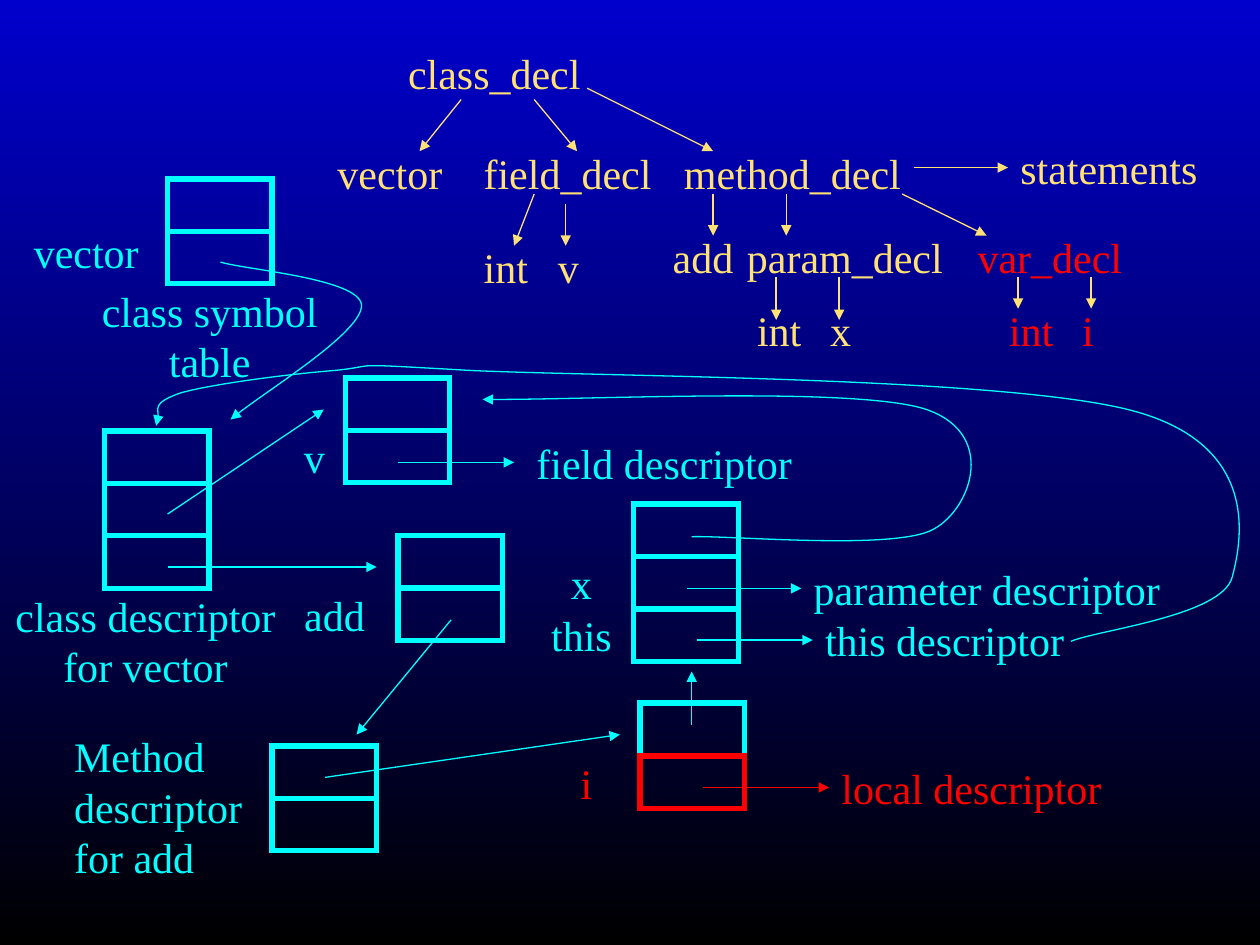
"""Build a slide linking a class parse tree to its symbol tables and descriptors."""
from dataclasses import dataclass

from pptx import Presentation
from pptx.dml.color import RGBColor
from pptx.enum.shapes import MSO_CONNECTOR, MSO_SHAPE
from pptx.enum.text import MSO_ANCHOR, MSO_AUTO_SIZE, PP_ALIGN
from pptx.oxml.xmlchemy import OxmlElement
from pptx.util import Inches, Pt


@dataclass(frozen=True)
class Theme:
    table: RGBColor = RGBColor(0x00, 0xFF, 0xFF)
    tree: RGBColor = RGBColor(0xFF, 0xE1, 0x75)
    local: RGBColor = RGBColor(0xFF, 0x00, 0x00)
    bg_top: RGBColor = RGBColor(0x00, 0x00, 0xCC)
    bg_bottom: RGBColor = RGBColor(0x00, 0x00, 0x00)
    font: str = "Times New Roman"
    size: Pt = Pt(24)
    box_line: Pt = Pt(3)
    arrow_line: Pt = Pt(0.75)


theme = Theme()
CELL_W, CELL_H = 0.83, 5 / 12
LABEL_SLACK = 0.03

prs = Presentation()
prs.slide_width, prs.slide_height = Inches(10), Inches(7.5)
s = prs.slides.add_slide(prs.slide_layouts[6])

fill = s.background.fill
fill.gradient()
fill.gradient_angle = 270
for stop, color, position in zip(fill.gradient_stops, (theme.bg_top, theme.bg_bottom), (0, 1)):
    stop.color.rgb = color
    stop.position = position


def add_text(lines, left, top, width, height, color, centered=False):
    tb = s.shapes.add_textbox(Inches(left), Inches(top), Inches(width), Inches(height))
    tf = tb.text_frame
    tf.word_wrap = False
    tf.auto_size = MSO_AUTO_SIZE.NONE if centered else MSO_AUTO_SIZE.SHAPE_TO_FIT_TEXT
    tf.vertical_anchor = MSO_ANCHOR.MIDDLE if centered else MSO_ANCHOR.TOP
    for i, line in enumerate(lines):
        p = tf.paragraphs[0] if i == 0 else tf.add_paragraph()
        p.alignment = PP_ALIGN.CENTER if centered else PP_ALIGN.LEFT
        r = p.add_run()
        r.text = line
        r.font.name, r.font.size = theme.font, theme.size
        r.font.color.rgb = color


def style_arrow(sp, color):
    sp.line.color.rgb = color
    sp.line.width = theme.arrow_line
    tail = OxmlElement("a:tailEnd")
    tail.set("type", "triangle")
    sp.line._get_or_add_ln().append(tail)


stacks = [
    (1.33, 1.42, 2, theme.table),
    (2.74, 3, 2, theme.table),
    (0.83, 3.42, 3, theme.table),
    (3.16, 4.25, 2, theme.table),
    (2.16, 5.92, 2, theme.table),
    (5.03, 4, 3, theme.table),
    (5.08, 5.58, 1, theme.table),
    (5.08, 6, 1, theme.local),
]
for left, top, rows, color in stacks:
    for row in range(rows):
        sp = s.shapes.add_shape(MSO_SHAPE.RECTANGLE, Inches(left), Inches(top + row * CELL_H),
                                Inches(CELL_W), Inches(CELL_H))
        sp.shadow.inherit = False
        sp.fill.background()
        sp.line.color.rgb = color
        sp.line.width = theme.box_line
        miter = OxmlElement("a:miter")
        miter.set("lim", "800000")
        sp.line._get_or_add_ln().append(miter)

centered_labels = [
    (["v"], 2.08, 3.42, CELL_H, theme.table),
    (["add"], 2.24, 4.67, CELL_H, theme.table),
    (["x"], 4.2, 4.42, CELL_H, theme.table),
    (["this"], 4.2, 4.83, CELL_H, theme.table),
    (["i"], 4.24, 6, CELL_H, theme.local),
    (["class symbol", "table"], 1.25, 2.5, 0.33, theme.table),
    (["class descriptor", "for vector"], 0.74, 4.92, 0.33, theme.table),
]
for lines, left, top, height, color in centered_labels:
    add_text(lines, left, top, CELL_W, height, color, centered=True)

add_text(["Method", "descriptor", "for add"], 0.49, 5.75, 1.53 + LABEL_SLACK, 1.3, theme.table)

labels = {
    theme.table: [
        ("vector", 0.17, 1.75, 1.03),
        ("field descriptor", 4.16, 3.42, 2.23),
        ("parameter descriptor", 6.36, 4.42, 2.95),
        ("this descriptor", 6.45, 4.83, 2.1),
    ],
    theme.tree: [
        ("class_decl", 3.14, 0.33, 1.57),
        ("vector", 2.58, 1.12, 1.03),
        ("field_decl", 3.74, 1.12, 1.53),
        ("method_decl", 5.33, 1.12, 1.92),
        ("statements", 8, 1.08, 1.61),
        ("int", 3.74, 1.87, 0.55),
        ("v", 4.33, 1.87, 0.37),
        ("add", 5.24, 1.79, 0.68),
        ("param_decl", 5.83, 1.79, 1.75),
        ("int", 5.91, 2.37, 0.55),
        ("x", 6.49, 2.37, 0.37),
    ],
    theme.local: [
        ("var_decl", 7.66, 1.79, 1.35),
        ("int", 7.91, 2.37, 0.55),
        ("i", 8.49, 2.37, 0.29),
        ("local descriptor", 6.58, 6, 2.26),
    ],
}
for color, entries in labels.items():
    for text, left, top, width in entries:
        add_text([text], left, top, width + LABEL_SLACK, 0.5, color)

arrows = {
    theme.table: [
        (3.16, 3.67, 4.08, 3.67),
        (3.58, 4.92, 2.83, 5.83),
        (1.33, 4.08, 2.57, 3.25),
        (1.33, 4.5, 2.99, 4.5),
        (5.45, 4.67, 6.36, 4.67),
        (5.53, 5.08, 6.45, 5.08),
        (5.49, 5.75, 5.49, 5.33),
        (2.58, 6.17, 4.92, 5.83),
    ],
    theme.tree: [
        (3.66, 0.79, 3.33, 1.2),
        (4.24, 0.79, 4.58, 1.2),
        (4.66, 0.7, 5.66, 1.2),
        (7.25, 1.33, 8, 1.33),
        (4.24, 1.54, 4.08, 1.95),
        (4.49, 1.62, 4.49, 1.95),
        (5.66, 1.54, 5.66, 1.87),
        (6.24, 1.54, 6.24, 1.87),
        (7.16, 1.54, 7.83, 1.87),
        (6.16, 2.2, 6.16, 2.54),
        (6.66, 2.2, 6.66, 2.54),
        (8.08, 2.2, 8.08, 2.45),
        (8.66, 2.2, 8.66, 2.45),
    ],
    theme.local: [(5.58, 6.25, 6.58, 6.25)],
}
for color, ends in arrows.items():
    for end in ends:
        line = s.shapes.add_connector(MSO_CONNECTOR.STRAIGHT, *map(Inches, end))
        style_arrow(line, color)
        line._element.spPr.append(OxmlElement("a:effectLst"))

curves = [
    [(1.75, 2.08), (1.94, 2.14), (2.85, 2.21), (2.87, 2.42),
     (2.88, 2.63), (2.05, 3.14), (1.83, 3.33)],
    [(5.49, 4.26), (5.81, 4.25), (7.11, 4.37), (7.41, 4.2), (7.72, 4.03),
     (7.92, 3.42), (7.32, 3.24), (6.72, 3.07), (4.55, 3.18), (3.83, 3.17)],
    [(8.5, 5.09), (8.71, 5), (9.7, 4.89), (9.78, 4.58), (9.86, 4.28), (10, 3.53),
     (8.99, 3.26), (7.98, 2.99), (4.78, 2.99), (3.73, 2.94), (2.67, 2.88), (3.05, 2.9),
     (2.66, 2.94), (2.28, 2.97), (1.67, 3.05), (1.43, 3.12), (1.2, 3.2), (1.28, 3.33),
     (1.24, 3.38)],
]
for points in curves:
    start, *rest = [(Inches(x), Inches(y)) for x, y in points]
    builder = s.shapes.build_freeform(*start)
    builder.add_line_segments(rest, close=False)
    sp = builder.convert_to_shape()
    sp.shadow.inherit = False
    sp.fill.background()
    style_arrow(sp, theme.table)
    segments = sp._element.xpath(".//a:lnTo")
    for i in range(0, len(segments), 3):
        bezier = OxmlElement("a:cubicBezTo")
        segments[i].addprevious(bezier)
        for segment in segments[i:i + 3]:
            bezier.append(segment[0])
            segment.getparent().remove(segment)

prs.save("out.pptx")
